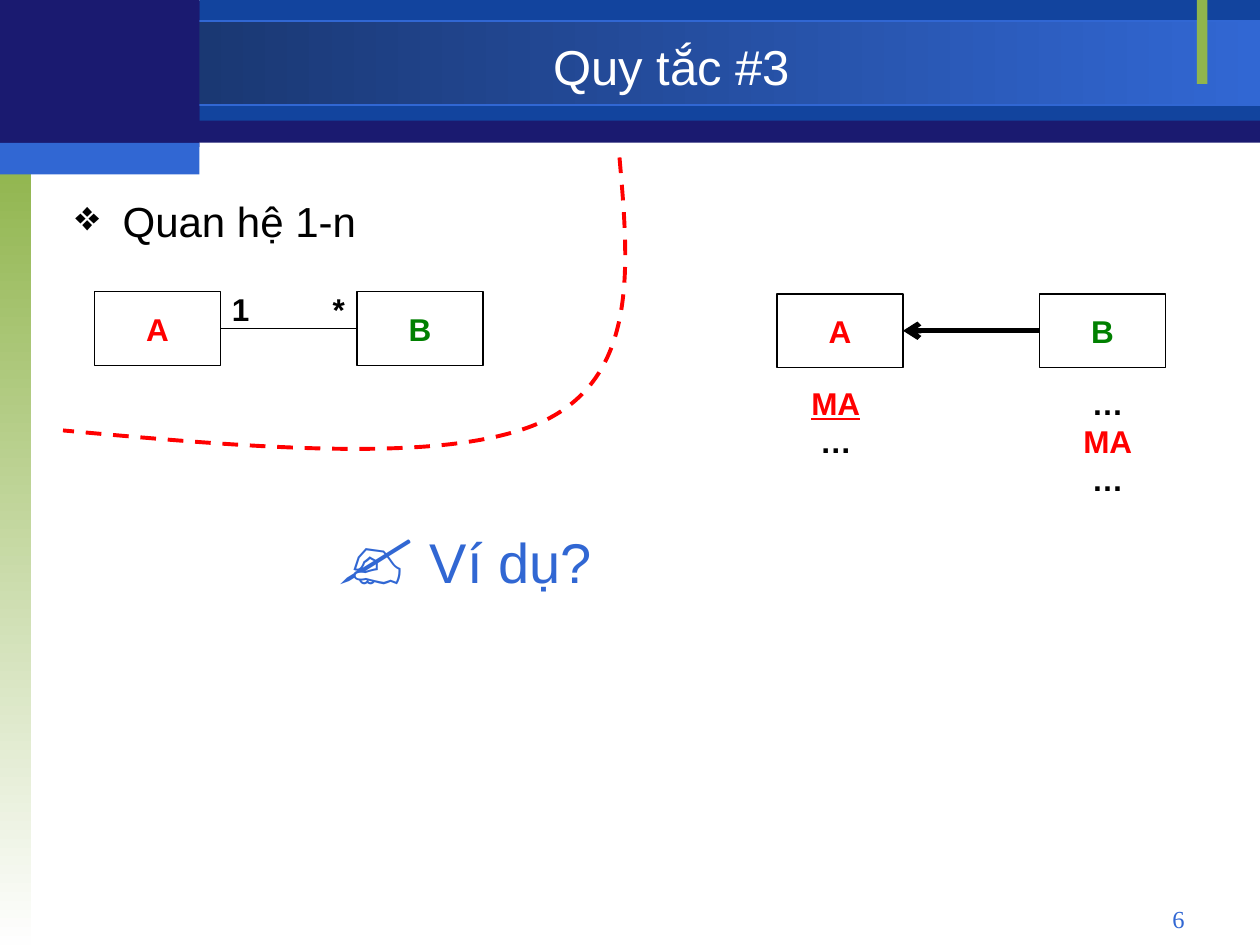
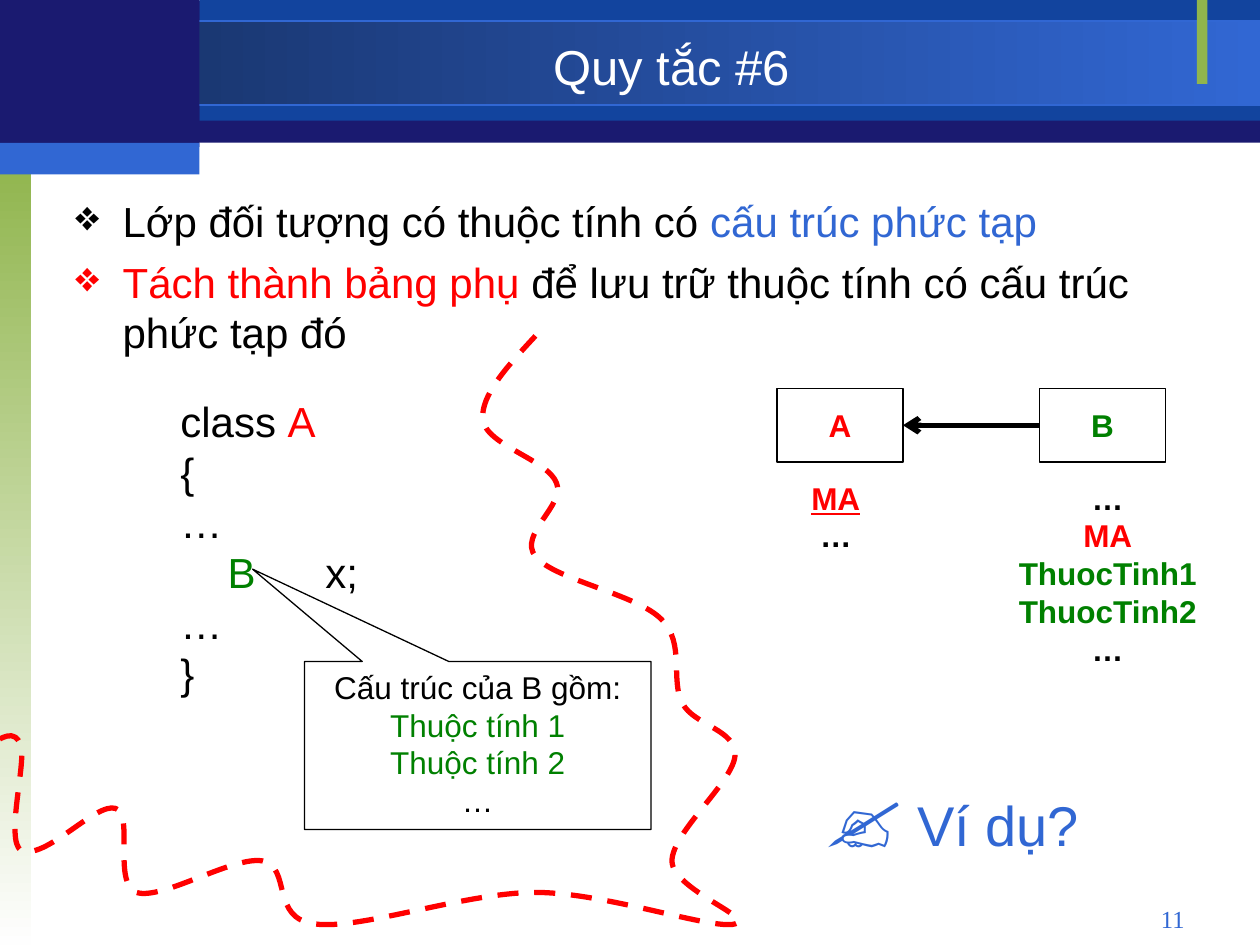
from lxml import etree
from pptx import Presentation
from pptx import util as u
from pptx.dml.color import RGBColor
from pptx.enum import dml, shapes, text
from pptx.oxml.ns import qn

PX = 7620  # EMU in one px, at 120 px to the inch

BLACK = RGBColor(0x00, 0x00, 0x00)
WHITE = RGBColor(0xFF, 0xFF, 0xFF)
PALE = RGBColor(0xFE, 0xFE, 0xFE)
NAVY = RGBColor(0x1A, 0x1A, 0x70)
DEEP_BLUE = RGBColor(0x12, 0x44, 0x9E)
DARK_BLUE = RGBColor(0x16, 0x2F, 0x61)
BLUE = RGBColor(0x31, 0x67, 0xD3)
LIME = RGBColor(0x90, 0xB5, 0x4D)
RED = RGBColor(0xFF, 0x00, 0x00)
GREEN = RGBColor(0x00, 0x80, 0x00)

LEFT, CENTER, RIGHT = text.PP_ALIGN.LEFT, text.PP_ALIGN.CENTER, text.PP_ALIGN.RIGHT
TOP, MIDDLE = text.MSO_ANCHOR.TOP, text.MSO_ANCHOR.MIDDLE


def add_box(slide, bounds, fill, outline=None, kind=shapes.MSO_SHAPE.RECTANGLE):
    """Add a flat shape; two fill colours and an angle make a gradient."""
    box = slide.shapes.add_shape(kind, *(n * PX for n in bounds))
    box.shadow.inherit = False
    if isinstance(fill, RGBColor):
        box.fill.solid()
        box.fill.fore_color.rgb = fill
    else:
        *colors, angle = fill
        box.fill.gradient()
        box.fill.gradient_angle = angle
        for stop, color in zip(box.fill.gradient_stops, colors):
            stop.color.rgb = color
    if outline is None:
        box.line.fill.background()
    else:
        box.line.color.rgb = outline
        box.line.width = u.Pt(0.75)
    return box


def write(target, lines, size, align=LEFT, anchor=TOP, bold=False, font="Arial"):
    """Fill a shape with lines, each a list of (text, colour) runs."""
    frame = target.text_frame
    frame.word_wrap = True
    frame.vertical_anchor = anchor
    for index, line in enumerate(lines):
        paragraph = frame.add_paragraph() if index else frame.paragraphs[0]
        paragraph.alignment = align
        paragraph.font.size = u.Pt(size)
        paragraph.font.name = font
        paragraph.font.bold = bold
        for words, color in line:
            run = paragraph.add_run()
            run.text = words
            run.font.color.rgb = color
    return frame.paragraphs


BANDS = [
    ((0, 1, 1200, 135), NAVY, None),
    ((190, 0, 1010, 115), DEEP_BLUE, None),
    ((0, 20, 1200, 80), (DARK_BLUE, BLUE, 0), BLUE),
    ((0, 150, 30, 750), (LIME, PALE, 270), None),
    ((1140, 0, 10, 80), LIME, None),
    ((0, 0, 190, 140), NAVY, None),
    ((0, 136, 190, 30), BLUE, None),
]

# Each divider is a start point, then three points for every Bézier curve.
RULES = [
    {
        "title": "Quy tắc #3",
        "number": "6",
        "bullets": [[("Quan hệ 1-n", BLACK)]],
        "class_pairs": [(90, 278)],
        "table_pair": (740, 280),
        "b_columns": [("…", BLACK), ("MA", RED), ("…", BLACK)],
        "example": (310, 470),
        "divider_width": 2.25,
        "divider": [
            (590, 150), (599, 253), (608, 356), (520, 400),
            (432, 443), (246, 427), (60, 410),
        ],
    },
    {
        "title": "Quy tắc #6",
        "number": "11",
        "bullets": [
            [("Lớp đối tượng có thuộc tính có ", BLACK), ("cấu trúc phức tạp", BLUE)],
            [("Tách thành bảng phụ ", RED),
             ("để lưu trữ thuộc tính có cấu trúc phức tạp đó", BLACK)],
        ],
        "class_pairs": [],
        "table_pair": (740, 370),
        "b_columns": [("…", BLACK), ("MA", RED), ("ThuocTinh1", GREEN),
                      ("ThuocTinh2", GREEN), ("…", BLACK)],
        "example": (774, 720),
        "divider_width": 3,
        "divider": [
            (510, 320), (484, 348), (457, 377), (460, 400),
            (463, 424), (522, 438), (530, 460), (539, 481), (493, 509), (510, 530),
            (527, 552), (607, 566), (630, 590), (653, 613), (638, 648), (650, 670),
            (661, 691), (702, 695), (700, 720), (698, 745), (640, 793), (640, 820),
            (640, 847), (721, 875), (700, 880), (678, 886), (577, 850), (510, 850),
            (443, 850), (343, 886), (300, 880), (257, 875), (278, 826), (250, 820),
            (222, 815), (154, 858), (130, 850), (107, 841), (128, 776), (110, 770),
            (91, 764), (43, 820), (20, 810), (5, 800), (25, 727), (20, 710),
            (14, 694), (2, 702), (-10, 710),
        ],
    },
]

deck = Presentation()
deck.slide_width, deck.slide_height = 1200 * PX, 900 * PX

for rule in RULES:
    slide = deck.slides.add_slide(deck.slide_layouts[6])
    for bounds, fill, outline in BANDS:
        add_box(slide, bounds, fill, outline)

    title = slide.shapes.add_textbox(190 * PX, 28 * PX, 900 * PX, 70 * PX)
    write(title, [[(rule["title"], WHITE)]], 28, CENTER, MIDDLE)
    number = slide.shapes.add_textbox(860 * PX, 855 * PX, 280 * PX, 33 * PX)
    write(number, [[(rule["number"], BLUE)]], 14, RIGHT, font="Times New Roman")

    body = slide.shapes.add_textbox(60 * PX, 180 * PX, 1080 * PX, 660 * PX)
    for paragraph, line in zip(write(body, rule["bullets"], 24), rule["bullets"]):
        paragraph.space_before = u.Pt(6)
        props = paragraph._p.get_or_add_pPr()
        props.set("marL", str(45 * PX))
        props.set("indent", str(-45 * PX))
        bullet_color = etree.Element(qn("a:buClr"))
        etree.SubElement(bullet_color, qn("a:srgbClr"), val=str(line[0][1]))
        bullet = etree.Element(qn("a:buChar"), char="❖")
        props.find(qn("a:spcBef")).addnext(bullet_color)
        bullet_color.addnext(bullet)

    # Class A and class B, joined by a plain line or by a foreign key arrow
    for left, top in rule["class_pairs"] + [rule["table_pair"]]:
        for name, color, offset in (("A", RED, 0), ("B", GREEN, 250)):
            entity = add_box(slide, (left + offset, top, 120, 70), WHITE, BLACK)
            write(entity, [[(name, color)]], 18, CENTER, MIDDLE, bold=True)
        link = slide.shapes.add_connector(
            shapes.MSO_CONNECTOR.STRAIGHT,
            (left + 250) * PX, (top + 35) * PX, (left + 120) * PX, (top + 35) * PX)
        link.line.color.rgb = BLACK
        link.line.width = u.Pt(0.75)
        etree.SubElement(link._element.spPr, qn("a:effectLst"))
        if (left, top) == rule["table_pair"]:
            link.line.width = u.Pt(3)
            etree.SubElement(link.line._get_or_add_ln(), qn("a:tailEnd"), type="arrow")
        else:
            for count, offset in (("1", 119), ("*", 215)):
                label = slide.shapes.add_textbox(
                    (left + offset) * PX, (top - 8) * PX, 50 * PX, 48 * PX)
                write(label, [[(count, BLACK)]], 18, bold=True)

    left, top = rule["table_pair"]
    a_columns = slide.shapes.add_textbox(
        (left - 4) * PX, (top + 80) * PX, 120 * PX, 84 * PX)
    key, _ = write(a_columns, [[("MA", RED)], [("…", BLACK)]], 18, CENTER, bold=True)
    key.runs[0].font.underline = True
    b_columns = slide.shapes.add_textbox(
        (left + 215) * PX, (top + 80) * PX, 200 * PX, 192 * PX)
    write(b_columns, [[column] for column in rule["b_columns"]], 18, CENTER, bold=True)

    left, top = rule["example"]
    example = slide.shapes.add_textbox(left * PX, top * PX, 268 * PX, 108 * PX)
    prompt, = write(example, [[("✍", BLUE), (" Ví dụ?", BLUE)]], 32)
    prompt.runs[0].font.size = u.Pt(48)

    start, *points = rule["divider"]
    builder = slide.shapes.build_freeform(*start, scale=PX)
    builder.add_line_segments(points, close=False)
    divider = builder.convert_to_shape()
    divider.shadow.inherit = False
    divider.fill.background()
    divider.line.color.rgb = RED
    divider.line.width = u.Pt(rule["divider_width"])
    divider.line.dash_style = dml.MSO_LINE.DASH
    trace = divider._element.find(".//" + qn("a:path"))
    segments = trace.findall(qn("a:lnTo"))
    for first in range(0, len(segments), 3):
        curve = etree.SubElement(trace, qn("a:cubicBezTo"))
        for segment in segments[first:first + 3]:
            curve.append(segment[0])
            trace.remove(segment)

# Class listing and its callout, on the last slide
listing = slide.shapes.add_textbox(160 * PX, 371 * PX, 250 * PX, 300 * PX)
code = write(listing, [
    [("class ", BLACK), ("A", RED)],
    [("{", BLACK)],
    [("…", BLACK)],
    [("\t", BLACK), ("B", GREEN), ("\tx;", BLACK)],
    [("…", BLACK)],
    [("}", BLACK)],
], 24)
stops = etree.Element(qn("a:tabLst"))
for position in (45, 138):
    etree.SubElement(stops, qn("a:tab"), pos=str(position * PX), algn="l")
code[3]._p.pPr.find(qn("a:defRPr")).addprevious(stops)

callout = add_box(slide, (290, 630, 330, 160), WHITE, BLACK,
                  shapes.MSO_SHAPE.RECTANGULAR_CALLOUT)
callout.adjustments[0] = -0.65
callout.adjustments[1] = -1.05
write(callout, [
    [("Cấu trúc của B gồm:", BLACK)],
    [("Thuộc tính 1", GREEN)],
    [("Thuộc tính 2", GREEN)],
    [("…", BLACK)],
], 18, CENTER)

deck.save("out.pptx")
